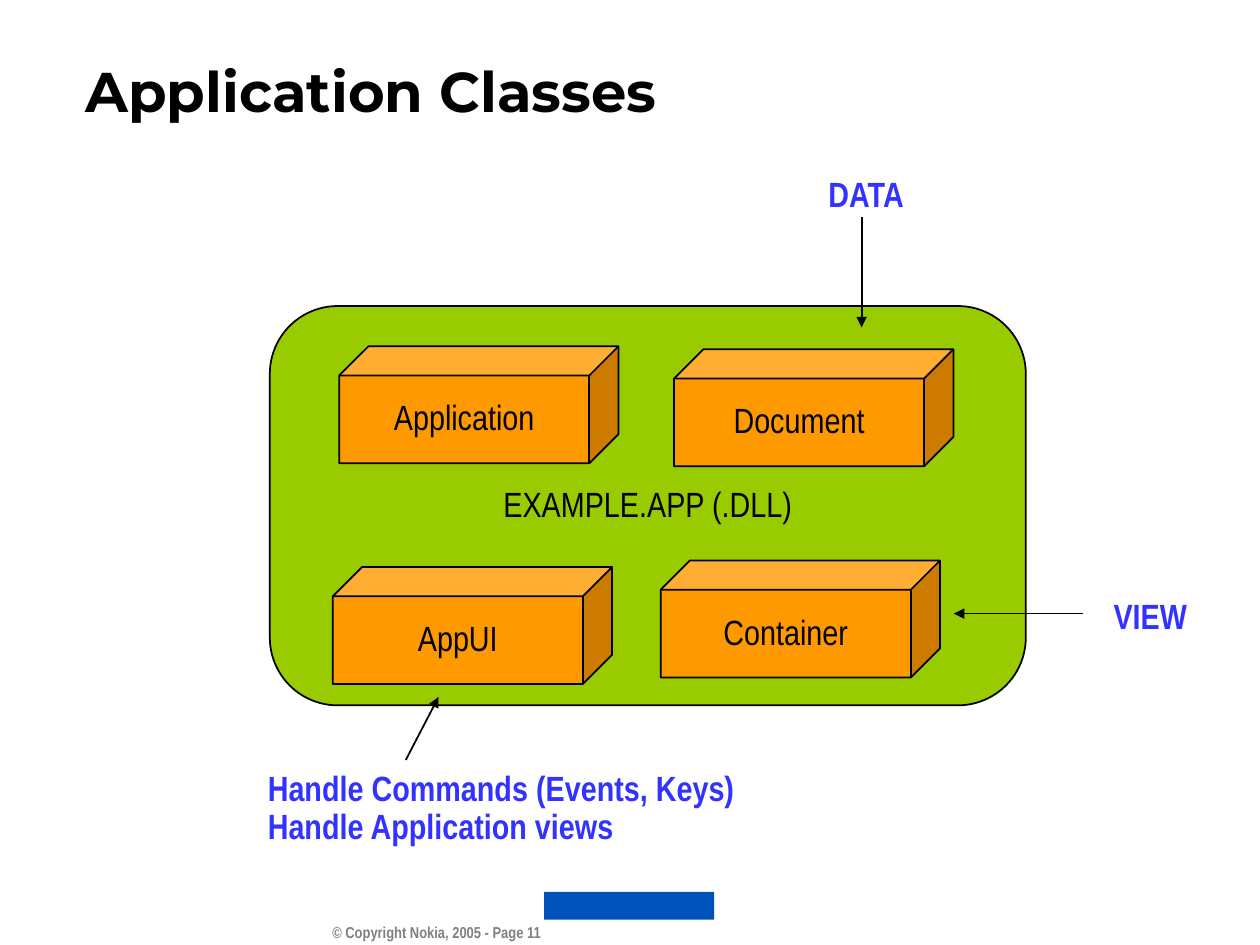
from dataclasses import dataclass

from lxml import etree
from pptx import Presentation
from pptx.dml.color import RGBColor
from pptx.enum.shapes import MSO_CONNECTOR, MSO_SHAPE
from pptx.enum.text import MSO_ANCHOR, MSO_AUTO_SIZE, PP_ALIGN
from pptx.oxml.ns import qn
from pptx.util import Cm, Pt

STRAIGHT = MSO_CONNECTOR.STRAIGHT
CUBE, ROUNDED, RECTANGLE = MSO_SHAPE.CUBE, MSO_SHAPE.ROUNDED_RECTANGLE, MSO_SHAPE.RECTANGLE
LEFT, CENTER, RIGHT = PP_ALIGN.LEFT, PP_ALIGN.CENTER, PP_ALIGN.RIGHT
TOP, MIDDLE = MSO_ANCHOR.TOP, MSO_ANCHOR.MIDDLE
FIT_SHAPE, NO_FIT = MSO_AUTO_SIZE.SHAPE_TO_FIT_TEXT, MSO_AUTO_SIZE.NONE

BLACK = RGBColor(0x00, 0x00, 0x00)
GRAY = RGBColor(0x80, 0x80, 0x80)
GREEN = RGBColor(0x99, 0xCC, 0x00)
ORANGE = RGBColor(0xFF, 0x99, 0x00)
LABEL_BLUE = RGBColor(0x33, 0x33, 0xFF)
MARK_BLUE = RGBColor(0x00, 0x52, 0xBA)

BODY_FONT = "Arial Narrow"
TITLE_FONT = "Montserrat"


@dataclass(frozen=True)
class Box:
    """Position and size in centimetres."""
    left: float
    top: float
    width: float
    height: float

    def lengths(self) -> tuple:
        return Cm(self.left), Cm(self.top), Cm(self.width), Cm(self.height)


@dataclass(frozen=True)
class TextStyle:
    size: float
    color: RGBColor
    bold: bool = False
    font: str = BODY_FONT
    align: PP_ALIGN = LEFT
    anchor: MSO_ANCHOR = TOP
    spacing: float = 0.9
    wrap: bool = False
    fit: MSO_AUTO_SIZE = NO_FIT


@dataclass(frozen=True)
class Block:
    text: str
    box: Box


@dataclass(frozen=True)
class Label:
    lines: tuple[str, ...]
    box: Box


@dataclass(frozen=True)
class Arrow:
    """Start and end points in centimetres."""
    start: tuple[float, float]
    end: tuple[float, float]


TITLE_STYLE = TextStyle(32, BLACK, True, TITLE_FONT, anchor=MIDDLE, spacing=1.0, wrap=True)
FOOTER_STYLE = TextStyle(9, GRAY, True, align=RIGHT, spacing=1.0, wrap=True)
BLOCK_STYLE = TextStyle(20, BLACK, align=CENTER, anchor=MIDDLE)
LABEL_STYLE = TextStyle(20, LABEL_BLUE, True, fit=FIT_SHAPE)

TITLE = Label(("Application Classes",), Box(1.47, 1.28, 23.8, 1.07))
FOOTER = Label(("© Copyright Nokia, 2005 - Page 11",), Box(5.08, 18.47, 6.07, 0.84))
BRAND_MARK = Box(10.97, 17.98, 3.43, 0.56)

CONTAINER_APP = Block("EXAMPLE.APP (.DLL)", Box(5.44, 6.17, 15.24, 8.05))
CUBE_WIDTH, CUBE_HEIGHT = 5.63, 2.36
CLASSES = [
    Block(name, Box(left, top, CUBE_WIDTH, CUBE_HEIGHT))
    for name, left, top in (
        ("Application", 6.84, 6.98),
        ("Document", 13.59, 7.04),
        ("AppUI", 6.71, 11.43),
        ("Container", 13.32, 11.3),
    )
]
LABELS = [
    Label(("Handle Commands (Events, Keys)", "Handle Application views"),
          Box(5.15, 15.42, 10.1, 1.78)),
    Label(("DATA",), Box(16.45, 3.45, 2.3, 1.02)),
    Label(("VIEW",), Box(22.2, 11.95, 2.3, 1.02)),
]
ARROWS = [
    Arrow((8.18, 15.32), (8.84, 14.05)),
    Arrow((17.37, 4.37), (17.37, 6.6)),
    Arrow((21.84, 12.37), (19.23, 12.37)),
]


def write_text(frame, lines: tuple[str, ...], style: TextStyle) -> None:
    frame.word_wrap = style.wrap
    frame.auto_size = style.fit
    frame.vertical_anchor = style.anchor
    for index, line in enumerate(lines):
        paragraph = frame.add_paragraph() if index else frame.paragraphs[0]
        paragraph.alignment = style.align
        paragraph.line_spacing = style.spacing
        run = paragraph.add_run()
        run.text = line
        run.font.name = style.font
        run.font.size = Pt(style.size)
        run.font.bold = style.bold
        run.font.color.rgb = style.color


def add_label(slide, label: Label, style: TextStyle) -> None:
    textbox = slide.shapes.add_textbox(*label.box.lengths())
    write_text(textbox.text_frame, label.lines, style)


def add_filled(slide, kind: MSO_SHAPE, box: Box, fill: RGBColor):
    shape = slide.shapes.add_shape(kind, *box.lengths())
    shape.shadow.inherit = False
    shape.fill.solid()
    shape.fill.fore_color.rgb = fill
    shape.line.fill.background()
    return shape


def add_block(slide, block: Block, kind: MSO_SHAPE, adjustment: float, fill: RGBColor) -> None:
    shape = add_filled(slide, kind, block.box, fill)
    shape.adjustments[0] = adjustment
    shape.line.color.rgb = BLACK
    shape.line.width = Pt(1)
    write_text(shape.text_frame, (block.text,), BLOCK_STYLE)


def add_arrow(slide, arrow: Arrow) -> None:
    points = (Cm(value) for value in arrow.start + arrow.end)
    connector = slide.shapes.add_connector(STRAIGHT, *points)
    connector.line.color.rgb = BLACK
    connector.line.width = Pt(1)
    properties = connector.element.spPr
    line = properties.find(qn("a:ln"))
    etree.SubElement(line, qn("a:tailEnd"), type="triangle")
    etree.SubElement(properties, qn("a:effectLst"))


def main() -> None:
    deck = Presentation()
    deck.slide_width, deck.slide_height = Cm(25.4), Cm(19.05)
    slide = deck.slides.add_slide(deck.slide_layouts[6])

    # Footer and brand mark
    add_label(slide, FOOTER, FOOTER_STYLE)
    add_filled(slide, RECTANGLE, BRAND_MARK, MARK_BLUE)

    # Application with its four classes
    add_block(slide, CONTAINER_APP, ROUNDED, 0.17, GREEN)
    add_label(slide, TITLE, TITLE_STYLE)
    for block in CLASSES:
        add_block(slide, block, CUBE, 0.25, ORANGE)

    # Roles pointing at the classes
    for label in LABELS:
        add_label(slide, label, LABEL_STYLE)
    for arrow in ARROWS:
        add_arrow(slide, arrow)

    deck.save("out.pptx")


if __name__ == "__main__":
    main()
